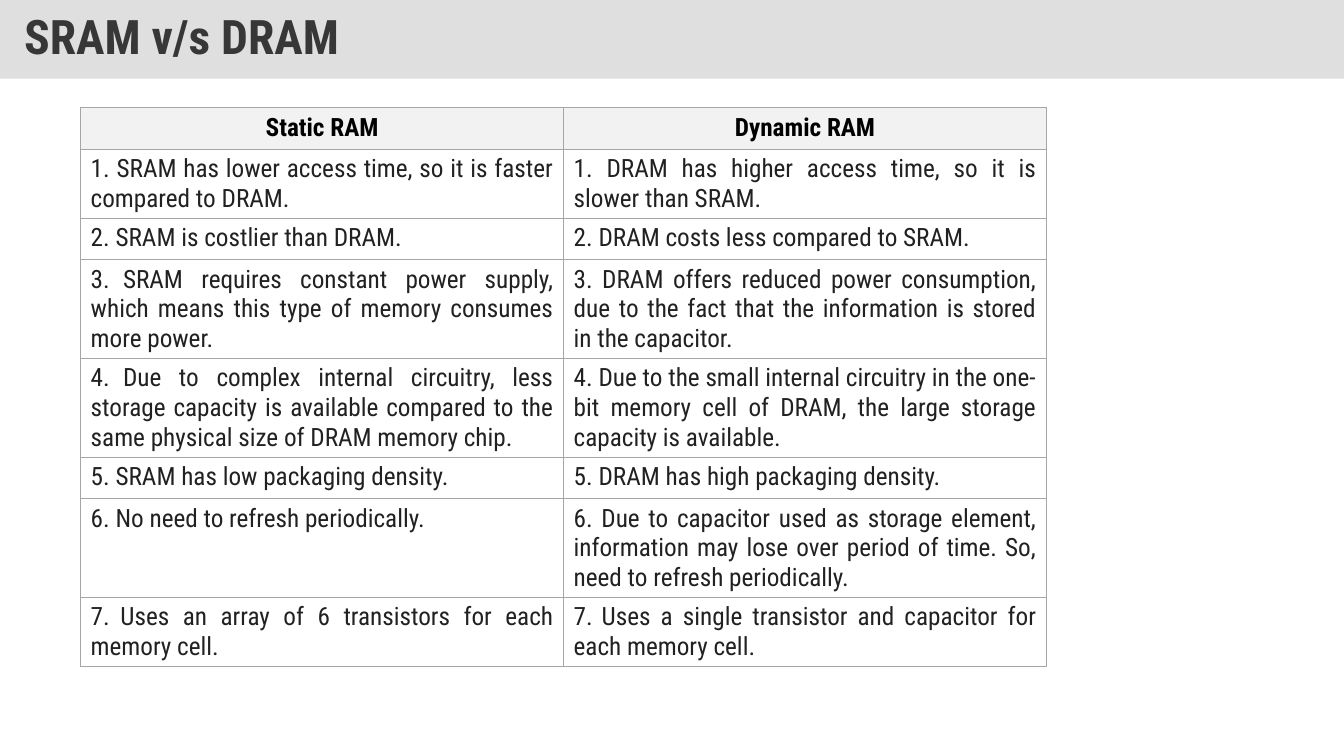
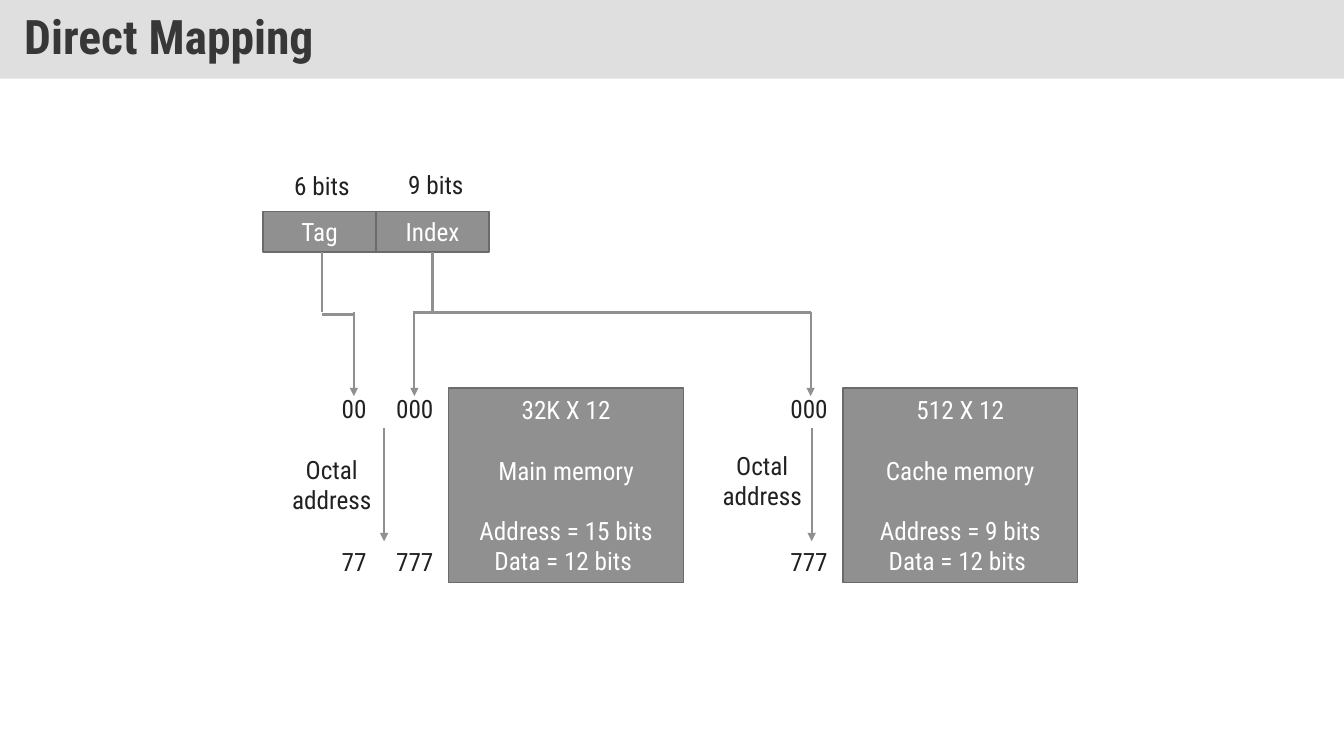
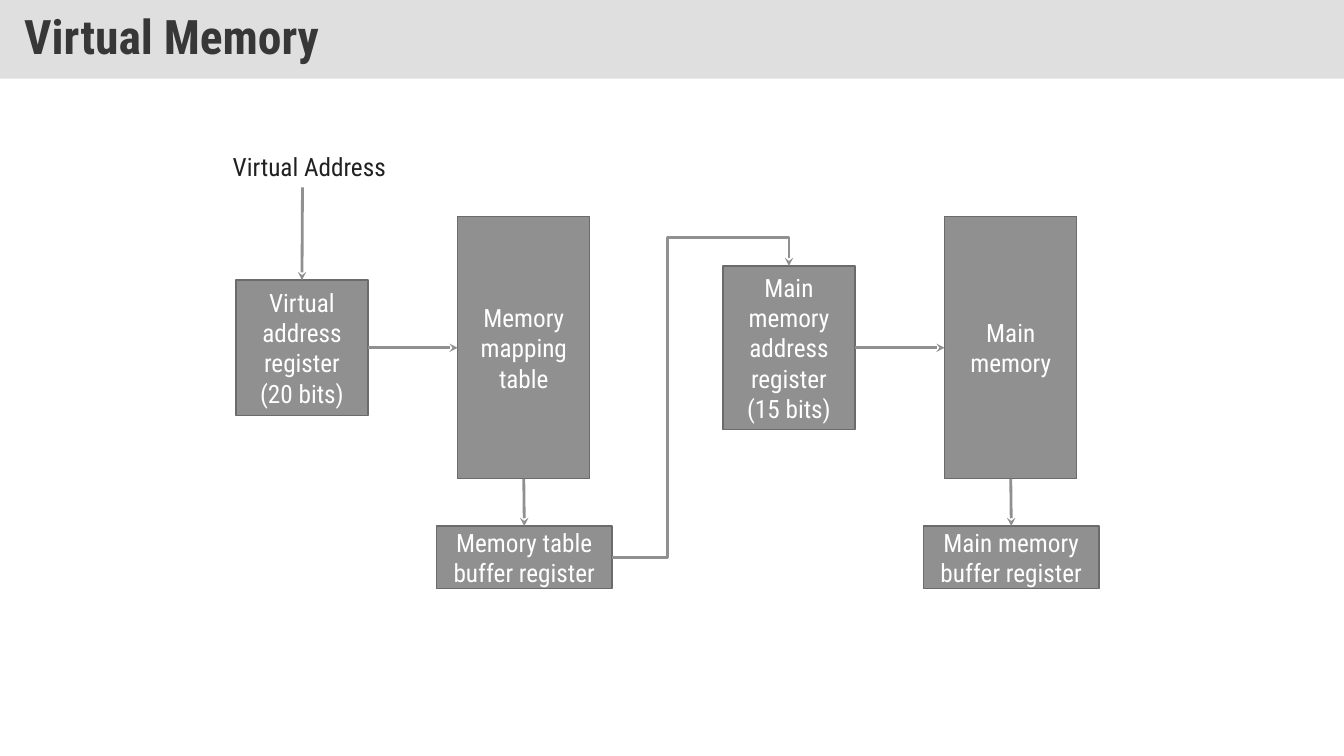
from lxml import etree
from pptx import Presentation
from pptx import util as u
from pptx.dml.color import RGBColor
from pptx.enum import shapes, text
from pptx.oxml.ns import qn

PX = 9144  # EMU: 100 px to the inch
FONT = "Roboto Condensed"
BAND = RGBColor(0xC0, 0xC0, 0xC0)
TITLE = RGBColor(0x37, 0x37, 0x37)
BODY = RGBColor(0x21, 0x21, 0x21)
BLACK = RGBColor(0, 0, 0)
WHITE = RGBColor(0xFF, 0xFF, 0xFF)
GREY = RGBColor(0x90, 0x90, 0x90)
OUTLINE = RGBColor(0x6B, 0x6B, 0x6B)
HEADER = RGBColor(0xF2, 0xF2, 0xF2)
BORDER = RGBColor(0xA6, 0xA6, 0xA6)
TOP, LEFT, BOTTOM, RIGHT = range(4)
CENTER = text.PP_ALIGN.CENTER

# Each cell: text, and the point size of the space after its number
COMPARISON = [
    (("1. SRAM has lower access time, so it is faster compared to DRAM.", 18),
     ("1. DRAM has higher access time, so it is slower than SRAM.", 18)),
    (("2. SRAM is costlier than DRAM.", 18),
     ("2. DRAM costs less compared to SRAM.", 18)),
    (("3. SRAM requires constant power supply, which means this type of "
      "memory consumes more power.", 2),
     ("3. DRAM offers reduced power consumption, due to the fact that the "
      "information is stored in the capacitor.", 18)),
    (("4. Due to complex internal circuitry, less storage capacity is "
      "available compared to the same physical size of DRAM memory chip.", 4),
     ("4. Due to the small internal circuitry in the one-bit memory cell of "
      "DRAM, the large storage capacity is available.", 18)),
    (("5. SRAM has low packaging density.", 18),
     ("5. DRAM has high packaging density.", 18)),
    (("6. No need to refresh periodically.", 18),
     ("6. Due to capacitor used as storage element, information may lose over "
      "period of time. So, need to refresh periodically.", 18)),
    (("7. Uses an array of 6 transistors for each memory cell.", 9),
     ("7. Uses a single transistor and capacitor for each memory cell.", 14)),
]


def emu(*lengths):
    return [u.Emu(n * PX) for n in lengths]


def style(p, color, size=18, bold=False, align=text.PP_ALIGN.LEFT):
    p.alignment = align
    p.font.name = FONT
    p.font.size = u.Pt(size)
    p.font.bold = bold
    p.font.color.rgb = color


def add_slide(prs, title):
    """Title-only slide with the grey title band."""
    s = prs.slides.add_slide(prs.slide_layouts[5])
    sp = s.shapes.title
    sp.left, sp.top, sp.width, sp.height = emu(0, 0, 1333, 78)
    sp.width = prs.slide_width
    sp.fill.solid()
    sp.fill.fore_color.rgb = BAND
    color = sp._element.spPr.find(".//" + qn("a:srgbClr"))
    etree.SubElement(color, qn("a:alpha"), val="50000")
    tf = sp.text_frame
    tf.text = title
    tf.auto_size = text.MSO_AUTO_SIZE.NONE
    tf.vertical_anchor = text.MSO_ANCHOR.MIDDLE
    tf.margin_left, tf.margin_top, tf.margin_right, tf.margin_bottom = emu(24, 12, 24, 12)
    p = tf.paragraphs[0]
    p.line_spacing = 0.9
    style(p, TITLE, 34, bold=True)
    return s


def write(tf, lines, color, align, gaps=()):
    """One paragraph a line; a line whose index is in gaps has a blank line's space above."""
    tf.word_wrap = True
    for i, line in enumerate(lines):
        p = tf.add_paragraph() if i else tf.paragraphs[0]
        p.text = line
        if i in gaps:
            p.space_before = u.Pt(21.5)
        style(p, color, align=align)


def box(s, x, y, w, h, *lines, gaps=()):
    sp = s.shapes.add_shape(shapes.MSO_SHAPE.RECTANGLE, *emu(x, y, w, h))
    sp.shadow.inherit = False
    sp.fill.solid()
    sp.fill.fore_color.rgb = GREY
    sp.line.color.rgb = OUTLINE
    sp.line.width = u.Pt(1)
    sp.text_frame.vertical_anchor = text.MSO_ANCHOR.MIDDLE
    write(sp.text_frame, lines, WHITE, CENTER, gaps)
    return sp


def label(s, x, y, w, *lines, align=text.PP_ALIGN.LEFT):
    sp = s.shapes.add_textbox(*emu(x, y, w, 9 + 31 * len(lines)))
    write(sp.text_frame, lines, BODY, align)


def link(s, start, end, head=None, width=1.5, kind=shapes.MSO_CONNECTOR.STRAIGHT):
    """Connector between two ends, each an (x, y) point or a (shape, side) pair."""
    points = [(0, 0) if not isinstance(e[0], int) else e for e in (start, end)]
    c = s.shapes.add_connector(kind, *emu(*points[0], *points[1]))
    for e, join in ((start, c.begin_connect), (end, c.end_connect)):
        if not isinstance(e[0], int):
            join(*e)
    c.line.color.rgb = GREY
    c.line.width = u.Pt(width)
    spPr = c._element.spPr
    if head:
        etree.SubElement(spPr.find(qn("a:ln")), qn("a:tailEnd"), type=head)
    etree.SubElement(spPr, qn("a:effectLst"))
    return c


def bend(c, *adjustments):
    """Make an elbow connector four-part, with the given bends in 1/100000."""
    geom = c._element.spPr.find(qn("a:prstGeom"))
    geom.set("prst", "bentConnector4")
    guides = geom.find(qn("a:avLst"))
    if guides is None:
        guides = etree.SubElement(geom, qn("a:avLst"))
    for i, value in enumerate(adjustments, 1):
        etree.SubElement(guides, qn("a:gd"), name=f"adj{i}", fmla=f"val {value}")


def format_cell(cell, fill=None):
    tcPr = cell._tc.get_or_add_tcPr()
    for side in ("lnL", "lnR", "lnT", "lnB"):
        ln = etree.SubElement(tcPr, qn("a:" + side), w=str(u.Pt(0.75)))
        solid = etree.SubElement(ln, qn("a:solidFill"))
        etree.SubElement(solid, qn("a:srgbClr"), val=str(BORDER))
    if fill is None:
        cell.fill.background()
    else:
        cell.fill.solid()
        cell.fill.fore_color.rgb = fill


def comparison_slide(prs):
    s = add_slide(prs, "SRAM v/s DRAM")
    rows = len(COMPARISON) + 1
    table = s.shapes.add_table(rows, 2, *emu(80, 107, 958, 41 * rows)).table
    table.first_row = table.horz_banding = False
    for col, heading in enumerate(("Static RAM", "Dynamic RAM")):
        cell = table.cell(0, col)
        cell.text = heading
        style(cell.text_frame.paragraphs[0], BLACK, bold=True, align=CENTER)
        format_cell(cell, HEADER)
    for row, entries in enumerate(COMPARISON, 1):
        for col, (entry, gap) in enumerate(entries):
            cell = table.cell(row, col)
            p = cell.text_frame.paragraphs[0]
            style(p, BODY, align=text.PP_ALIGN.JUSTIFY)
            if gap == 18:
                p.text = entry
            else:
                for part in entry.partition(" "):
                    r = p.add_run()
                    r.text = part
                    if part == " ":
                        r.font.size = u.Pt(gap)
            format_cell(cell)


def direct_mapping_slide(prs):
    s = add_slide(prs, "Direct Mapping")
    for x, size, name, bits in ((445, "32K X 12", "Main memory", 15),
                                (836, "512 X 12", "Cache memory", 9)):
        box(s, x, 385, 233, 193, size, name, f"Address = {bits} bits",
            "Data = 12 bits ", gaps=(1, 2))
    for x, first, last in ((774, "000", "777"), (383, "000", "777"), (329, "00", "77")):
        label(s, x, 385, 62, first)
        label(s, x, 537, 62, last)
    for arrow_x, x, y in ((805, 706, 442), (381, 279, 446)):
        link(s, (arrow_x, 425), (arrow_x, 537), "triangle")
        label(s, x, y, 100, "Octal", "address", align=CENTER)

    box(s, 261, 210, 112, 40, "Tag")
    index = box(s, 373, 210, 112, 40, "Index")
    label(s, 282, 164, 76, "6 bits")
    label(s, 395, 163, 76, "9 bits")
    link(s, (319, 250), (319, 310))
    link(s, (index, BOTTOM), (429, 310))
    link(s, (319, 312), (351, 312))
    link(s, (410, 310), (804, 310))
    for x in (351, 411, 804):
        link(s, (x, 310), (x, 393), "triangle")


def memory_stage(s, x, register, register_h, memory, buffer):
    """Register feeding a memory, whose output goes to a buffer register below."""
    middle = 345
    source = box(s, x, middle - register_h // 2, 131, register_h, register)
    store = box(s, x + 220, middle - 130, 131, 260, memory)
    output = box(s, x + 199, 522, 174, 62, buffer)
    link(s, (source, RIGHT), (store, LEFT), "stealth", 2)
    link(s, (store, BOTTOM), (output, TOP), "stealth", 2)
    return source, output


def virtual_memory_slide(prs):
    s = add_slide(prs, "Virtual Memory")
    virtual, table_buffer = memory_stage(
        s, 234, "Virtual address register (20 bits)", 134,
        "Memory mapping table", "Memory table buffer register")
    main_address, _ = memory_stage(
        s, 717, "Main memory address register (15 bits)", 162,
        "Main memory", "Main memory buffer register")
    label(s, 221, 145, 176, "Virtual Address")
    link(s, (300, 186), (virtual, TOP), "stealth", 2)
    c = link(s, (table_buffer, RIGHT), (main_address, TOP), "stealth", 2,
             shapes.MSO_CONNECTOR.ELBOW)
    bend(c, 31400, 109700)


def main():
    prs = Presentation()
    prs.slide_width, prs.slide_height = u.Inches(13.33), u.Inches(7.5)
    comparison_slide(prs)
    direct_mapping_slide(prs)
    virtual_memory_slide(prs)
    prs.save("out.pptx")


if __name__ == "__main__":
    main()
